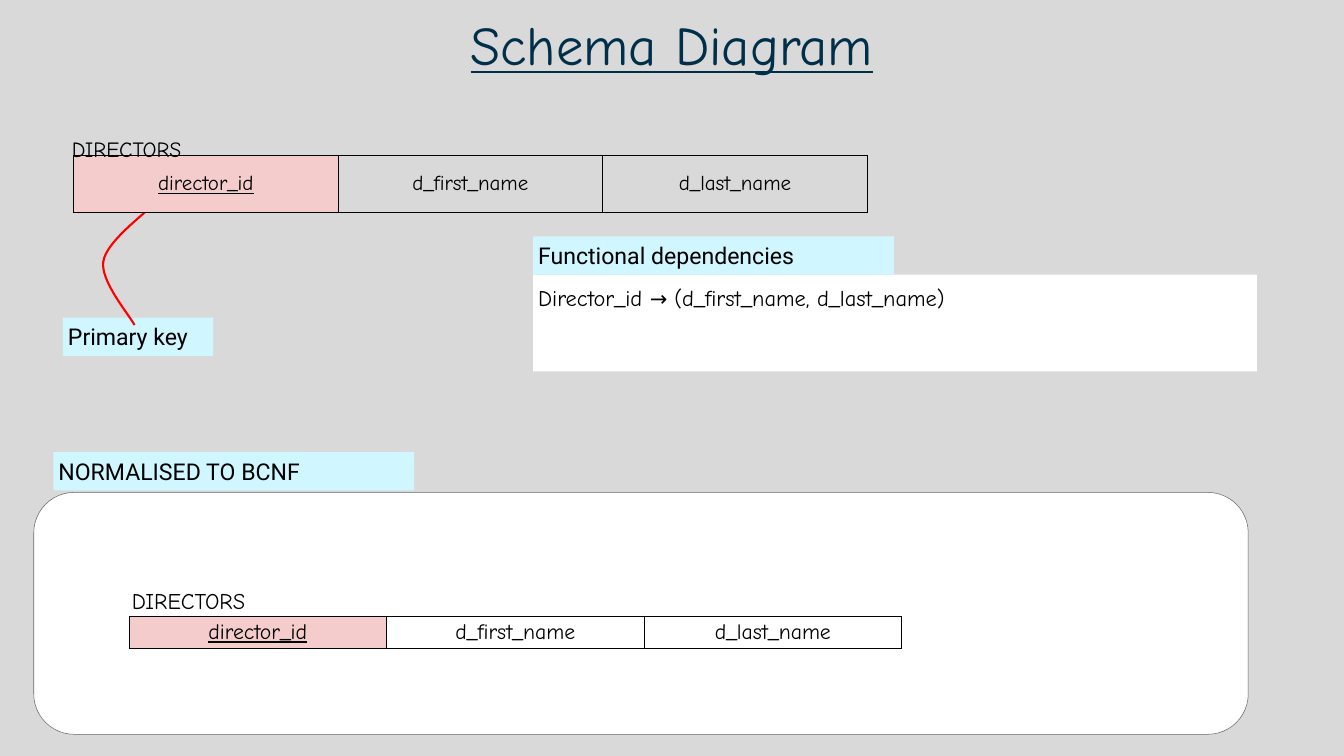
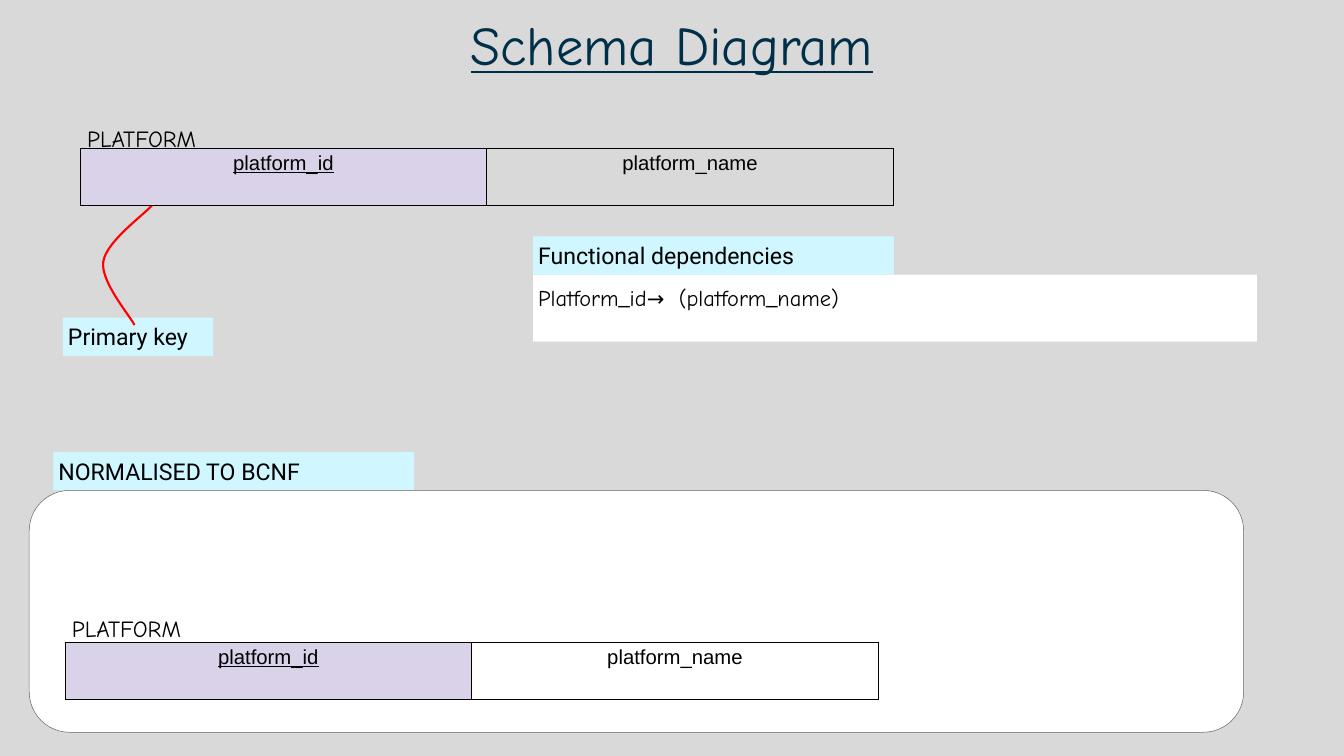
from lxml import etree
from pptx import Presentation
from pptx.dml.color import RGBColor
from pptx.enum.shapes import MSO_SHAPE
from pptx.enum.text import MSO_ANCHOR, MSO_AUTO_SIZE, PP_ALIGN
from pptx.oxml.ns import qn
from pptx.util import Inches, Pt

TOP, MIDDLE = MSO_ANCHOR.TOP, MSO_ANCHOR.MIDDLE
LEFT, CENTER = PP_ALIGN.LEFT, PP_ALIGN.CENTER
RECTANGLE, ROUNDED = MSO_SHAPE.RECTANGLE, MSO_SHAPE.ROUNDED_RECTANGLE
NO_AUTOFIT = MSO_AUTO_SIZE.NONE
TITLE_ONLY = 5

GREY, WHITE, BLACK = "D9D9D9", "FFFFFF", "000000"
NAVY, LABEL_BLUE, RED, OUTLINE = "002F4A", "D0F6FF", "FF0000", "666666"
HAND, SANS, PLAIN = "Comic Neue", "Roboto", "Arial"

# Start of the key curve, then two cubic segments of three points each
KEY_CURVE = [(2.67, 6.45), (2.56, 6.24), (1.99, 5.58), (2.05, 5.19),
             (2.11, 4.79), (2.86, 4.26), (3.02, 4.07)]
LABELS = [("Primary key", 1.25, 6.3, 2.98),
          ("Functional dependencies", 10.58, 4.69, 7.16),
          ("NORMALISED TO BCNF", 1.06, 8.97, 7.16)]

# Each schema is (left, top, column width, row height, cell text size,
#                 name left, name top, name height, name size)
RELATIONS = [
    {
        "name": "DIRECTORS", "name_anchor": TOP, "name_width": 3.97,
        "columns": ["director_id", "d_first_name", "d_last_name"],
        "key_fill": "F4CCCC", "cell_font": HAND, "cell_anchor": MIDDLE,
        "dependency": ["Director_id ", "→ ", "(d_first_name, d_last_name)"],
        "dependency_height": 1.92, "panel": (0.67, 9.77),
        "schemas": [(1.46, 3.08, 5.25, 1.13, 30, 1.33, 2.51, 1.37, 31),
                    (2.56, 12.22, 5.11, 0.65, 31, 2.52, 11.47, 1.41, 32)],
    },
    {
        "name": "PLATFORM", "name_anchor": MIDDLE, "name_width": 3.28,
        "columns": ["platform_id", "platform_name"],
        "key_fill": "D9D2E9", "cell_font": PLAIN, "cell_anchor": TOP,
        "dependency": ["Platform_id", "→ ", " (platform_name)"],
        "dependency_height": 1.33, "panel": (0.58, 9.73),
        "schemas": [(1.59, 2.95, 8.07, 1.13, 29, 1.63, 2.14, 1.13, 33),
                    (1.29, 12.74, 8.07, 1.13, 29, 1.33, 11.86, 1.13, 33)],
    },
]


def color(value):
    return RGBColor.from_string(value)


def write(frame, spans, font, ink=BLACK, align=LEFT, spacing=1.0,
          inset=0.1, anchor=TOP, underline=False):
    """Fill a text frame with one paragraph of (text, size) spans."""
    layout = {"word_wrap": True, "auto_size": NO_AUTOFIT, "vertical_anchor": anchor}
    for side in ("left", "right", "top", "bottom"):
        layout["margin_" + side] = Inches(inset)
    for key, value in layout.items():
        setattr(frame, key, value)
    para = frame.paragraphs[0]
    para.alignment, para.line_spacing = align, spacing
    for text, size in spans:
        span = para.add_run()
        span.text = text
        for key, value in {"name": font, "size": Pt(size), "underline": underline}.items():
            setattr(span.font, key, value)
        span.font.color.rgb = color(ink)


deck = Presentation()
deck.slide_width, deck.slide_height = Inches(26.67), Inches(15)

for relation in RELATIONS:
    page = deck.slides.add_slide(deck.slide_layouts[TITLE_ONLY])
    page.background.fill.solid()
    page.background.fill.fore_color.rgb = color(GREY)

    title = page.shapes.title
    title.left, title.top = Inches(1.33), Inches(0.4)
    title.width, title.height = Inches(24), Inches(1.89)
    write(title.text_frame, [("Schema Diagram", 78)], HAND, NAVY, CENTER,
          spacing=0.8, inset=0.06, underline=True)

    # Filled boxes: dependency list, labels and the panel behind the result
    dependency_spans = list(zip(relation["dependency"], (32, 30, 32)))
    boxes = [(RECTANGLE, 10.58, 5.45, 14.36, relation["dependency_height"],
              WHITE, dependency_spans, HAND, 1.15)]
    for text, left, top, width in LABELS:
        boxes.append((RECTANGLE, left, top, width, 0.76, LABEL_BLUE, [(text, 33)], SANS, 1.0))
    boxes.append((ROUNDED, *relation["panel"], 24.1, 4.8, WHITE, [], SANS, 1.0))
    for kind, left, top, width, height, fill, spans, font, spacing in boxes:
        box = page.shapes.add_shape(kind, Inches(left), Inches(top), Inches(width), Inches(height))
        box.shadow.inherit = False
        box.fill.solid()
        box.fill.fore_color.rgb = color(fill)
        if kind == ROUNDED:
            box.adjustments[0] = 0.167
            box.line.color.rgb = color(OUTLINE)
            box.line.width = Pt(0.75)
        else:
            box.line.fill.background()
            write(box.text_frame, spans, font, spacing=spacing)

    # Curve from the primary key label up to the key column
    points = [(Inches(x), Inches(y)) for x, y in KEY_CURVE]
    builder = page.shapes.build_freeform(*points[0])
    builder.add_line_segments(points[1:], close=False)
    curve = builder.convert_to_shape()
    curve.shadow.inherit = False
    curve.fill.background()
    curve.line.color.rgb = color(RED)
    curve.line.width = Pt(3)
    segments = list(curve._element.iter(qn("a:lnTo")))
    for first in range(0, len(segments), 3):
        bezier = etree.Element(qn("a:cubicBezTo"))
        segments[first].addprevious(bezier)
        for segment in segments[first:first + 3]:
            bezier.append(segment[0])
            segment.getparent().remove(segment)

    for (left, top, column_width, row_height, cell_size,
         name_left, name_top, name_height, name_size) in relation["schemas"]:
        count = len(relation["columns"])
        table = page.shapes.add_table(
            1, count, Inches(left), Inches(top),
            Inches(column_width * count), Inches(row_height)).table
        table.first_row = table.horz_banding = False
        for index, column in enumerate(relation["columns"]):
            is_key = index == 0
            table.columns[index].width = Inches(column_width)
            cell = table.cell(0, index)
            write(cell.text_frame, [(column, cell_size)], relation["cell_font"],
                  align=CENTER, underline=is_key)
            cell.vertical_anchor = relation["cell_anchor"]
            for side in ("left", "right", "top", "bottom"):
                setattr(cell, "margin_" + side, Inches(0.07))
            properties = cell._tc.get_or_add_tcPr()
            for edge in ("a:lnL", "a:lnR", "a:lnT", "a:lnB"):
                border = etree.SubElement(properties, qn(edge), w=str(Pt(1)))
                ink = etree.SubElement(border, qn("a:solidFill"))
                etree.SubElement(ink, qn("a:srgbClr"), val=BLACK)
            if is_key:
                cell.fill.solid()
                cell.fill.fore_color.rgb = color(relation["key_fill"])
            else:
                cell.fill.background()

        name_box = page.shapes.add_textbox(
            Inches(name_left), Inches(name_top),
            Inches(relation["name_width"]), Inches(name_height))
        write(name_box.text_frame, [(relation["name"], name_size)], HAND,
              spacing=1.15, anchor=relation["name_anchor"])

deck.save("out.pptx")
